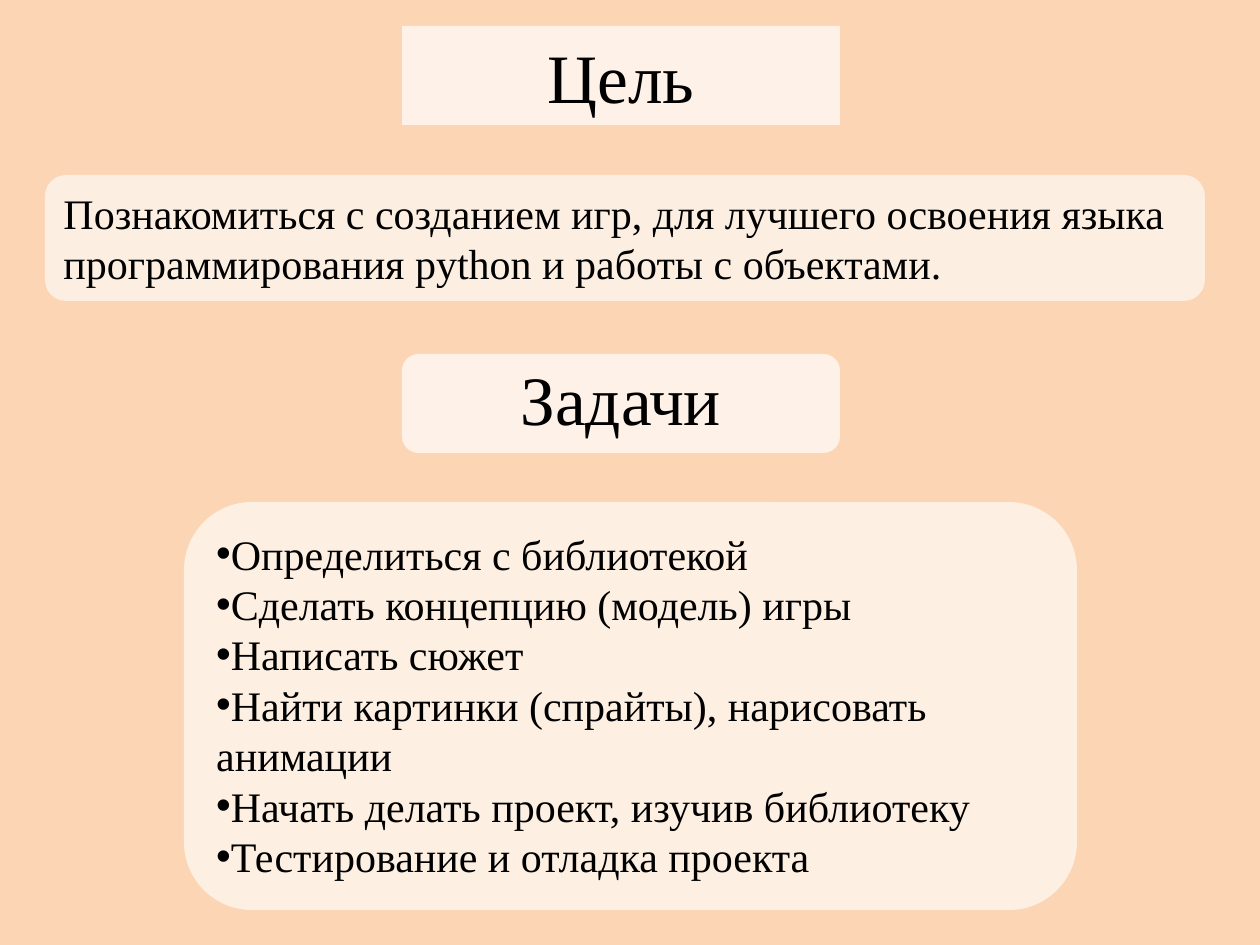
"""Build the slide with the goal and the tasks of a game project."""
import pptx
import pptx.dml.color
import pptx.enum.shapes
import pptx.enum.text
import pptx.oxml.ns
import pptx.util
import lxml.etree

RGB = pptx.dml.color.RGBColor
PEACH = RGB(0xFC, 0xD5, 0xB5)
WHITE = RGB(0xFF, 0xFF, 0xFF)
BLACK = RGB(0x00, 0x00, 0x00)
ALIGN = pptx.enum.text.PP_ALIGN
ANCHOR = pptx.enum.text.MSO_ANCHOR
ROUND = pptx.enum.shapes.MSO_SHAPE.ROUNDED_RECTANGLE
SCALE = 914400 / 126

GOAL = ("Познакомиться с созданием игр, для лучшего освоения языка "
        "программирования python и работы с объектами.")
TASKS = [
    "Определиться с библиотекой",
    "Сделать концепцию (модель) игры",
    "Написать сюжет",
    "Найти картинки (спрайты), нарисовать анимации",
    "Начать делать проект, изучив библиотеку",
    "Тестирование и отладка проекта",
]


def px(num):
    return pptx.util.Emu(round(num * SCALE))


def add(node, tag, **attrs):
    return lxml.etree.SubElement(node, pptx.oxml.ns.qn(tag), attrs)


class Page:
    face = "Times New Roman"
    large = 39.6
    small = 24

    def __init__(self, deck):
        self.slide = deck.slides.add_slide(deck.slide_layouts[5])
        back = self.slide.background.fill
        back.solid()
        back.fore_color.rgb = PEACH

    def paint(self, shape, alpha):
        shape.fill.solid()
        shape.fill.fore_color.rgb = WHITE
        color = shape.element.spPr.find(".//" + pptx.oxml.ns.qn("a:srgbClr"))
        add(color, "a:alpha", val=str(alpha * 1000))
        shape.line.fill.background()

    def label(self, shape, lines, size, align, anchor, space=1.0, mark=None):
        frame = shape.text_frame
        frame.text = "\n".join(lines)
        frame.word_wrap = True
        frame.auto_size = pptx.enum.text.MSO_AUTO_SIZE.NONE
        frame.vertical_anchor = anchor
        for para in frame.paragraphs:
            para.alignment = align
            para.line_spacing = space
            if mark:
                props = para._p.get_or_add_pPr()
                add(props, "a:buFont", typeface="Arial")
                add(props, "a:buChar", char=mark)
            para.font.name = self.face
            para.font.size = pptx.util.Pt(size)
            para.font.color.rgb = BLACK

    def panel(self, box, alpha):
        shape = self.slide.shapes.add_shape(ROUND, *map(px, box))
        shape.shadow.inherit = False
        self.paint(shape, alpha)
        return shape

    def title(self, text, box):
        shape = self.slide.shapes.title
        shape.left, shape.top, shape.width, shape.height = map(px, box)
        self.paint(shape, 69)
        self.label(shape, [text], self.large, ALIGN.CENTER, ANCHOR.MIDDLE)

    def head(self, text, box):
        self.label(self.panel(box, 69), [text], self.large,
                   ALIGN.CENTER, ANCHOR.MIDDLE, space=0.9)

    def body(self, lines, box, alpha, mark=None):
        self.label(self.panel(box, alpha), lines, self.small,
                   ALIGN.LEFT, ANCHOR.TOP, mark=mark)


def main():
    deck = pptx.Presentation()
    deck.slide_width, deck.slide_height = px(1260), px(945)
    page = Page(deck)
    page.title("Цель", (402, 26, 438, 99))
    page.body([GOAL], (45, 175, 1160, 126), 61)
    page.head("Задачи", (402, 354, 438, 99))
    page.body(TASKS, (184, 502, 893, 408), 62, mark="•")
    deck.save("out.pptx")


if __name__ == "__main__":
    main()
